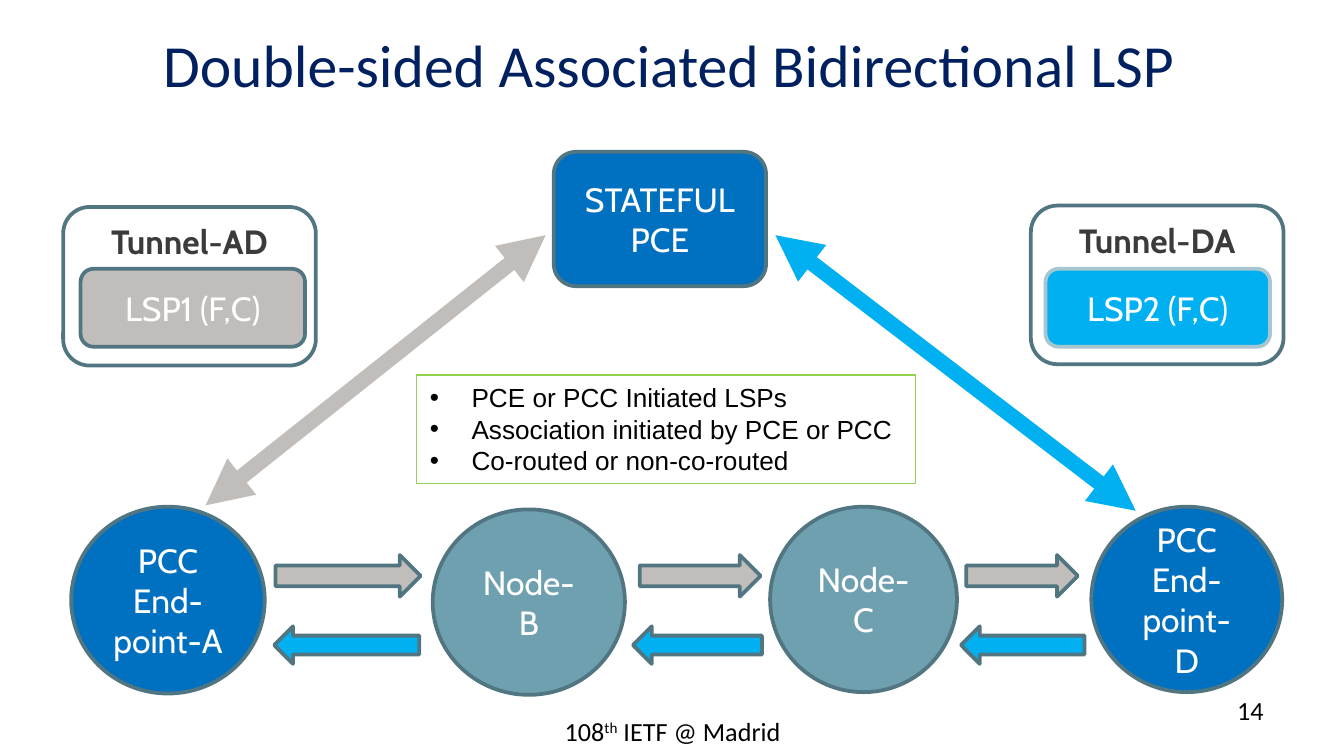
from dataclasses import dataclass

from pptx import Presentation
from pptx.dml.color import RGBColor
from pptx.enum.shapes import MSO_CONNECTOR, MSO_SHAPE
from pptx.enum.text import MSO_ANCHOR, PP_ALIGN
from pptx.oxml.ns import qn
from pptx.util import Inches, Pt
from lxml.etree import SubElement

WIDTH = 10
HEIGHT = WIDTH * 9 / 16
CELL = WIDTH / 100  # the slide is a grid of 100 columns with square cells


@dataclass(frozen=True)
class Theme:
    navy: str = "002060"
    blue: str = "0070C0"
    teal: str = "6EA0B0"
    grey: str = "C0BDBA"
    cyan: str = "00B0F0"
    outline: str = "517682"
    pale: str = "A8C6D0"
    green: str = "92D050"
    dark: str = "3B3B3B"
    black: str = "000000"
    white: str = "FFFFFF"
    title_size: int = 32
    label_size: int = 18
    note_size: int = 14
    title_font: str = "Calibri"
    label_font: str = "Cabin"
    list_font: str = "Arial"


T = Theme()


def grid(*cells):
    """Turn columns and rows into lengths."""
    return [Inches(c * CELL) for c in cells]


def style_text(tf, font, size, color, align, anchor, bold=False):
    tf.word_wrap = True
    tf.vertical_anchor = anchor
    for p in tf.paragraphs:
        p.alignment = align
        for r in p.runs:
            r.font.name, r.font.size, r.font.bold = font, Pt(size), bold
            r.font.color.rgb = RGBColor.from_string(color)


def add_block(s, kind, box, fill, line=T.outline, weight=2):
    sp = s.shapes.add_shape(kind, *grid(*box))
    sp.shadow.inherit = False
    if fill:
        sp.fill.solid()
        sp.fill.fore_color.rgb = RGBColor.from_string(fill)
    else:
        sp.fill.background()
    sp.line.color.rgb = RGBColor.from_string(line)
    sp.line.width = Pt(weight)
    return sp


def add_node(s, kind, box, text, fill, line=T.outline):
    sp = add_block(s, kind, box, fill, line)
    sp.text_frame.text = text
    style_text(sp.text_frame, T.label_font, T.label_size, T.white,
               PP_ALIGN.CENTER, MSO_ANCHOR.MIDDLE)


def add_tunnel(s, left, top, name):
    sp = add_block(s, MSO_SHAPE.ROUNDED_RECTANGLE, (left, top, 18.8, 11.8), T.white)
    sp.text_frame.text = name
    style_text(sp.text_frame, T.label_font, T.label_size, T.dark,
               PP_ALIGN.CENTER, MSO_ANCHOR.TOP, bold=True)


def add_session(s, start, end, color):
    """Double-headed line between the PCE and a PCC."""
    cx = s.shapes.add_connector(MSO_CONNECTOR.STRAIGHT, *grid(*start, *end))
    cx.line.color.rgb = RGBColor.from_string(color)
    cx.line.width = Pt(8.25)
    ln = cx.line._get_or_add_ln()
    for tag in ("a:headEnd", "a:tailEnd"):
        SubElement(ln, qn(tag)).set("type", "triangle")
    SubElement(cx._element.spPr, qn("a:effectLst"))


def add_bullets(s, box, items):
    sp = add_block(s, MSO_SHAPE.RECTANGLE, box, None, T.green, 0.75)
    tf = sp.text_frame
    tf.text = "\n".join(items)
    for p in tf.paragraphs:
        pPr = p._p.get_or_add_pPr()
        pPr.set("marL", str(Inches(0.31)))
        pPr.set("indent", str(-Inches(0.31)))
        SubElement(pPr, qn("a:buFont")).set("typeface", T.list_font)
        SubElement(pPr, qn("a:buChar")).set("char", "•")
    style_text(tf, T.list_font, T.note_size, T.black, PP_ALIGN.LEFT, MSO_ANCHOR.TOP)


def add_note(s, box, parts, align):
    """Small text; every second part is superscript."""
    tf = s.shapes.add_textbox(*grid(*box)).text_frame
    for i, part in enumerate(parts):
        r = tf.paragraphs[0].add_run()
        r.text = part
        if i % 2:
            r._r.get_or_add_rPr().set("baseline", "30000")
    style_text(tf, T.title_font, T.note_size, T.black, align, MSO_ANCHOR.TOP)


def set_title(s, text):
    sp = s.shapes.title
    sp.left, sp.top, sp.width, sp.height = grid(-0.2, 0, 100, 9.4)
    sp.text_frame.text = text
    style_text(sp.text_frame, T.title_font, T.title_size, T.navy,
               PP_ALIGN.CENTER, MSO_ANCHOR.MIDDLE)


def main():
    prs = Presentation()
    prs.slide_width, prs.slide_height = Inches(WIDTH), Inches(HEIGHT)
    s = prs.slides.add_slide(prs.slide_layouts[5])
    set_title(s, "Double-sided Associated Bidirectional LSP")

    # Tunnels and the LSP inside each
    rounded = MSO_SHAPE.ROUNDED_RECTANGLE
    add_tunnel(s, 76.7, 15.3, "Tunnel-DA")
    add_tunnel(s, 4.7, 15.4, "Tunnel-AD")

    # Controller and the row of routers
    add_node(s, rounded, (41.2, 11.3, 15.8, 10), "STATEFUL PCE", T.blue)
    for left, top, width, height, name, fill in (
        (5.3, 37.7, 14.4, 13.9, "PCC End-point-A", T.blue),
        (81.2, 37.7, 14.2, 13.8, "PCC End-point-D", T.blue),
        (32.2, 37.9, 14.3, 13.8, "Node-B", T.teal),
        (57.3, 37.7, 13.9, 13.8, "Node-C", T.teal),
    ):
        add_node(s, MSO_SHAPE.OVAL, (left, top, width, height), name, fill)

    # LSP inside each tunnel
    add_node(s, rounded, (6, 20, 16.7, 5.8), "LSP1 (F,C)", T.grey)
    add_node(s, rounded, (77.8, 20, 16.7, 5.8), "LSP2 (F,C)", T.cyan, T.pale)

    # Forward and reverse hops: left and width of each arrow
    for left, width in ((20.5, 10.8), (47.6, 9), (71.9, 8.3)):
        add_block(s, MSO_SHAPE.RIGHT_ARROW, (left, 41.3, width, 3.1), T.grey)
    for left, width in ((71.5, 9.2), (47.1, 9.6), (20.4, 10.8)):
        add_block(s, MSO_SHAPE.LEFT_ARROW, (left, 46.6, width, 2.8), T.cyan)

    # Remarks
    add_bullets(s, (31, 27.9, 37.1, 8.1), (
        "PCE or PCC Initiated LSPs",
        "Association initiated by PCE or PCC",
        "Co-routed or non-co-routed",
    ))

    # Sessions with the controller
    add_session(s, (40.6, 17.5), (15.3, 37.6), T.grey)
    add_session(s, (57.7, 17.5), (84.5, 38), T.cyan)

    # Footer and page number
    add_note(s, (34.2, 52.7, 31.7, 3.9), ("108", "th", " IETF @ Madrid"), PP_ALIGN.CENTER)
    add_note(s, (71.7, 51.2, 23.3, 3.9), ("14",), PP_ALIGN.RIGHT)

    prs.save("out.pptx")


if __name__ == "__main__":
    main()
